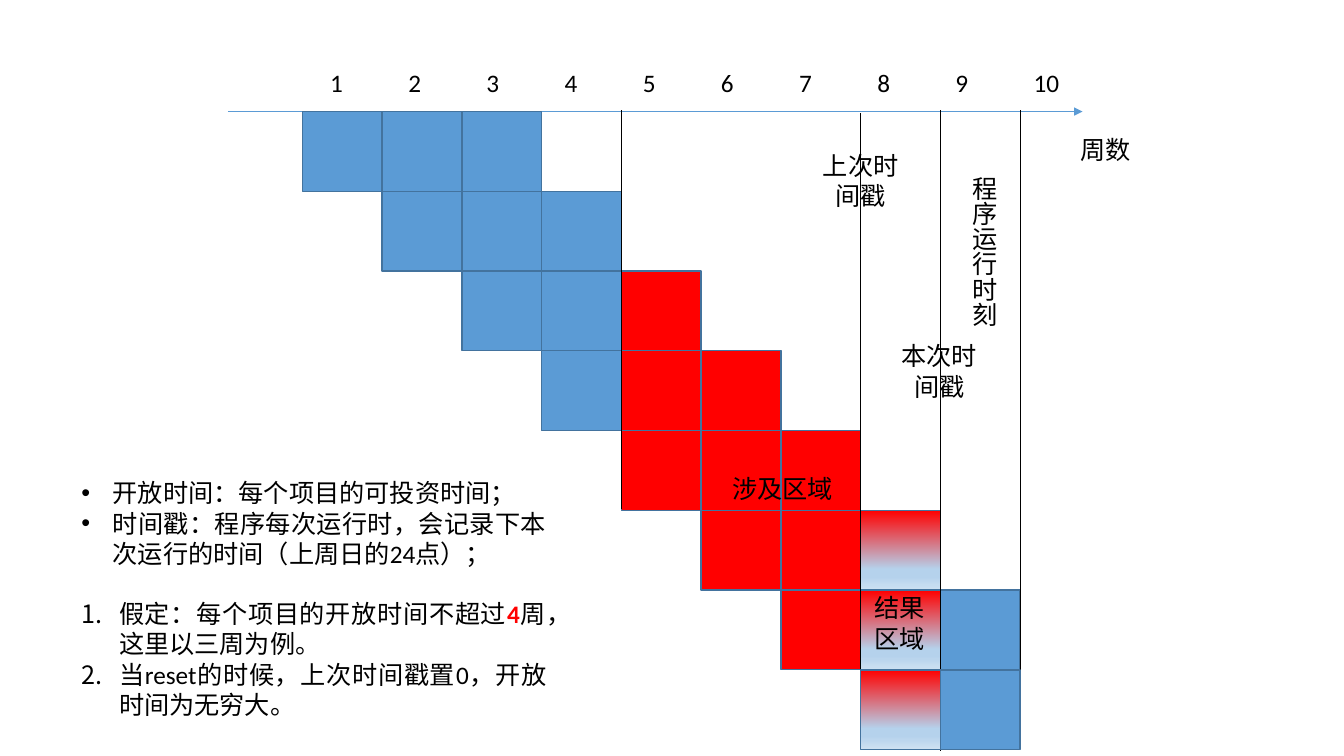
"""Build a slide that shows project weeks as a staircase of cells on a time axis."""
from lxml.etree import SubElement
from pptx import Presentation
from pptx.dml.color import RGBColor as RGB
from pptx.enum.lang import MSO_LANGUAGE_ID as LANG
from pptx.enum.shapes import MSO_CONNECTOR as CONN, MSO_SHAPE as SHAPE
from pptx.enum.text import MSO_AUTO_SIZE as FIT, PP_ALIGN as ALIGN
from pptx.oxml.ns import qn
from pptx.util import Cm, Pt

COLORS = {"blue": "5B9BD5", "border": "43739E", "red": "FF0000", "black": "000000",
          "pale": "B5D2EC", "palest": "CEE1F2"}
STOPS = [(0, "red"), (74, "pale"), (83, "pale"), (100, "palest")]
LEFT, TOP, CELL = 7.62, 2.81, 2.01
COLUMN_FILLS = ["blue"] * 4 + ["red"] * 3 + ["gradient", "blue"]

prs = Presentation()
prs.slide_width, prs.slide_height = Cm(33.87), Cm(19.05)
s = prs.slides.add_slide(prs.slide_layouts[6])


def add_text(text, x, y, w, h, align=ALIGN.LEFT, wrap=True, vertical=False):
    """Add a text box; a piece between asterisks is bold and red."""
    tf = s.shapes.add_textbox(Cm(x), Cm(y), Cm(w), Cm(h)).text_frame
    tf.word_wrap = wrap
    tf.auto_size = FIT.SHAPE_TO_FIT_TEXT
    if vertical:
        tf._txBody.bodyPr.set("vert", "eaVert")
    for i, line in enumerate(text.split("\n")):
        p = tf.add_paragraph() if i else tf.paragraphs[0]
        p.alignment = align
        for j, piece in enumerate(line.split("*")):
            r = p.add_run()
            r.text = piece
            r.font.name, r.font.size, r.font.bold = "Calibri", Pt(18), j % 2 == 1
            r.font.color.rgb = RGB.from_string(COLORS["red" if j % 2 else "black"])
            r.font.language_id = LANG.SIMPLIFIED_CHINESE
    return tf


def add_line(x1, y1, x2, y2, color):
    """Add a thin straight line without a shadow."""
    line = s.shapes.add_connector(CONN.STRAIGHT, Cm(x1), Cm(y1), Cm(x2), Cm(y2))
    line.line.color.rgb = RGB.from_string(COLORS[color])
    line.line.width = Pt(0.5)
    SubElement(line._element.spPr, qn("a:effectLst"))
    return line


axis = add_line(5.74, TOP, 27.28, TOP, "blue")
SubElement(axis.line._get_or_add_ln(), qn("a:tailEnd"), type="triangle")

for week in range(10):
    add_text(str(week + 1), 8.07 + 1.97 * week, 1.58, 1.17, 1.03)
add_text("周数", 26.98, 3.25, 2.41, 1.03)

for row in range(8):
    if row == 7:
        for col, y1, y2 in [(8, 18.92, 2.77), (7, 18.85, 2.84),
                            (9, 18.85, 2.77), (4, 12.83, 2.77)]:
            x = LEFT + CELL * col
            add_line(x, y1, x, y2, "black")
    for col in range(row, min(row + 3, 9)):
        sp = s.shapes.add_shape(SHAPE.RECTANGLE, Cm(LEFT + CELL * col),
                                Cm(TOP + CELL * row), Cm(CELL), Cm(CELL))
        sp.shadow.inherit = False
        sp.line.color.rgb = RGB.from_string(COLORS["border"])
        sp.line.width = Pt(1)
        if COLUMN_FILLS[col] == "gradient":
            sp.fill.gradient()
            sp.fill.gradient_angle = 270
            stops = sp._element.spPr.find(".//" + qn("a:gsLst"))
            stops.clear()
            for pos, color in STOPS:
                stop = SubElement(stops, qn("a:gs"), pos=str(pos * 1000))
                SubElement(stop, qn("a:srgbClr"), val=COLORS[color])
        else:
            sp.fill.solid()
            sp.fill.fore_color.rgb = RGB.from_string(COLORS[COLUMN_FILLS[col]])

tf = add_text("开放时间：每个项目的可投资时间；\n"
              "时间戳：程序每次运行时，会记录下本次运行的时间（上周日的24点）；\n"
              "假定：每个项目的开放时间不超过*4*周，这里以三周为例。\n"
              "当reset的时候，上次时间戳置0，开放时间为无穷大。",
              1.8, 11.91, 12.22, 6.4, align=ALIGN.JUSTIFY)
tf.paragraphs[2].space_before = Pt(21.6)
for i, p in enumerate(tf.paragraphs):
    indent = Cm(0.79 if i < 2 else 0.95)
    pPr = p._p.get_or_add_pPr()
    pPr.set("marL", str(indent))
    pPr.set("indent", str(-indent))
    if i < 2:
        SubElement(pPr, qn("a:buFont"), typeface="Arial")
        SubElement(pPr, qn("a:buChar"), char="•")
    else:
        SubElement(pPr, qn("a:buFont"), typeface="+mj-lt")
        SubElement(pPr, qn("a:buAutoNum"), type="arabicPeriod")

add_text("程序运行时刻", 24.05, 4.19, 1.27, 5.44, vertical=True)
for label, x, y, w, h in [("本次时\n间戳", 22.45, 8.46, 2.44, 1.8),
                          ("上次时\n间戳", 20.47, 3.66, 2.44, 1.8),
                          ("涉及区域", 18.19, 11.81, 3.07, 1.03),
                          ("结果\n区域", 21.77, 14.81, 1.8, 1.8)]:
    add_text(label, x, y, w, h, align=ALIGN.CENTER, wrap=False)

prs.save("out.pptx")
